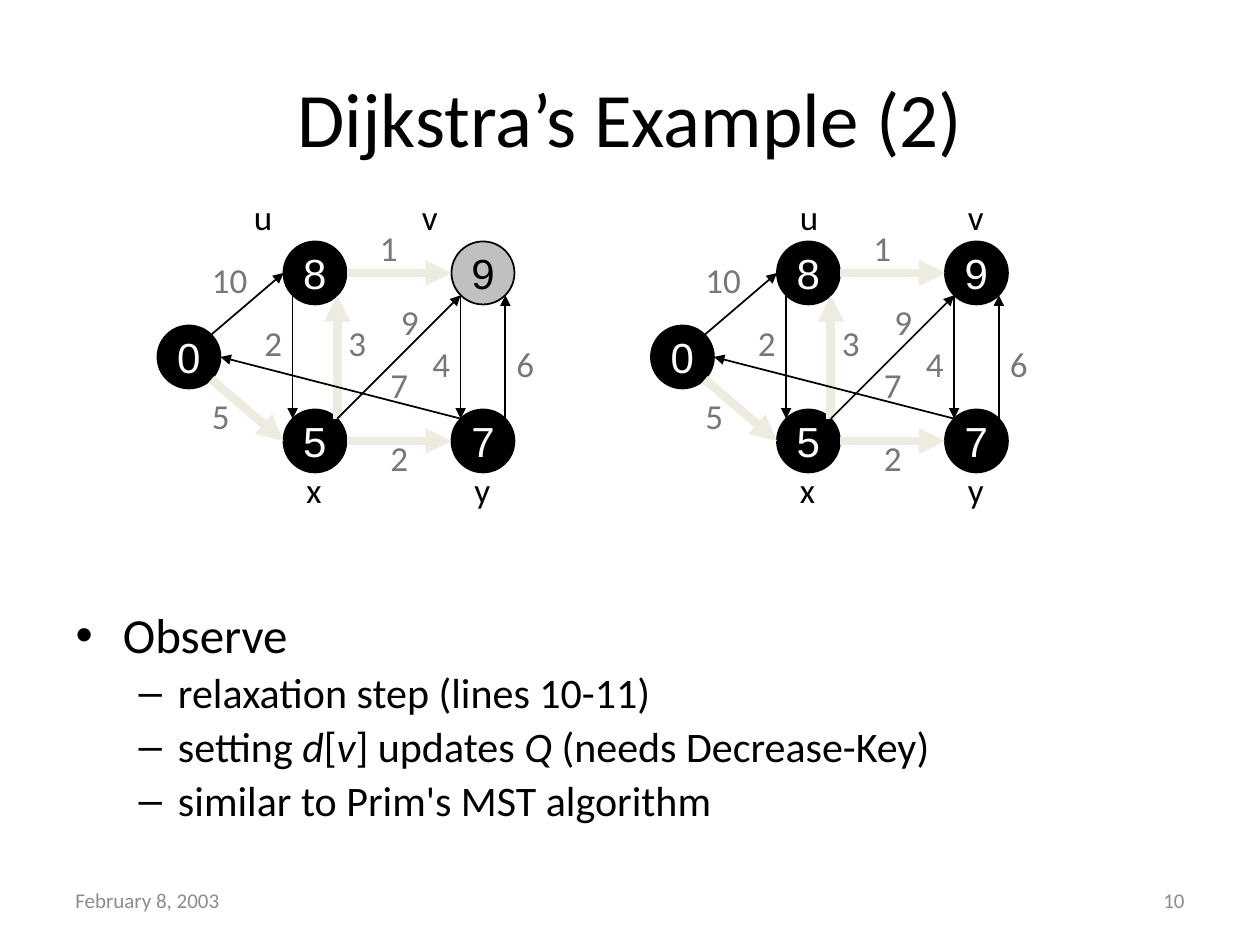
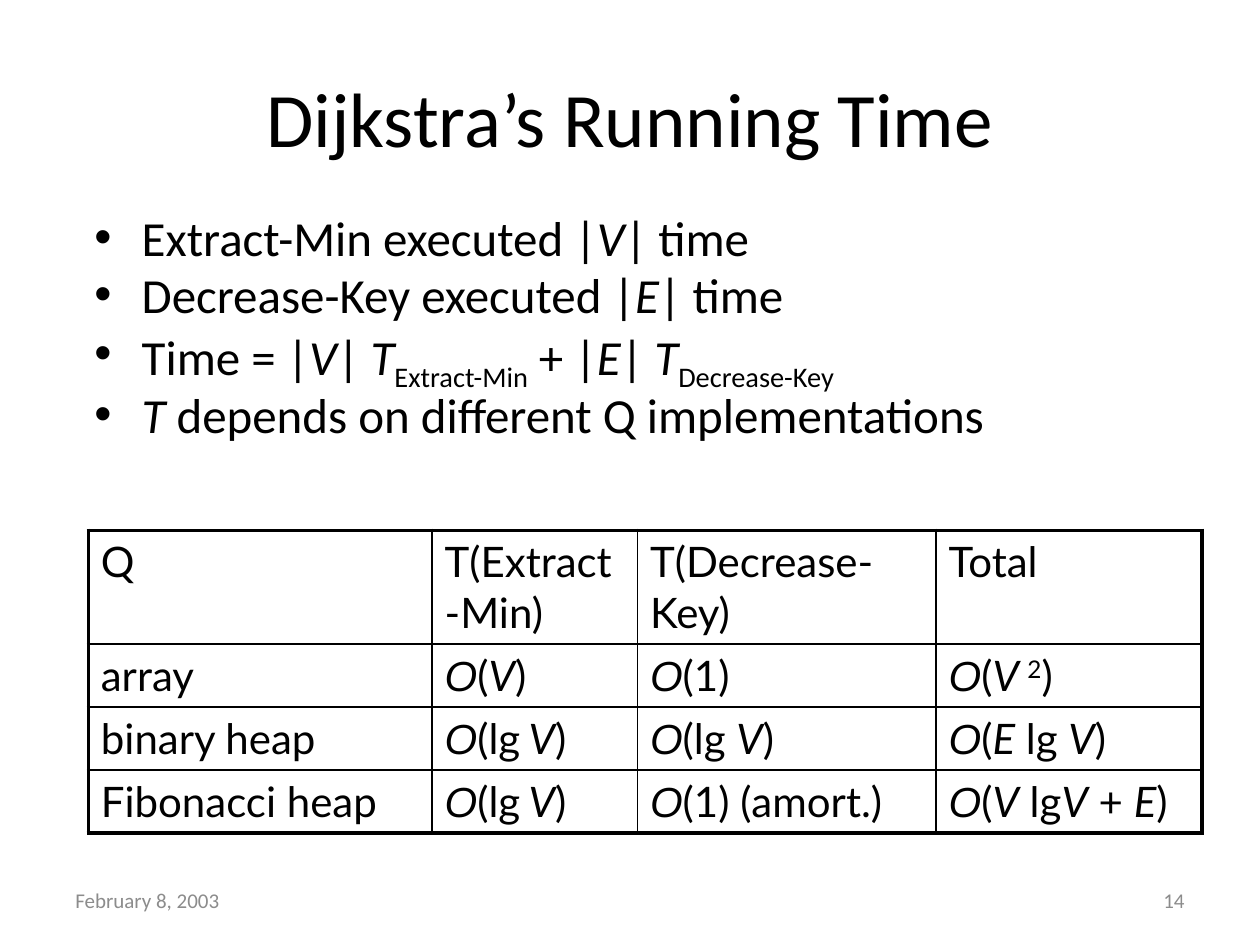
import pptx
import pptx.util
import pptx.dml.color
import pptx.enum.shapes
import pptx.enum.text
import pptx.oxml
import pptx.oxml.ns
import lxml.etree

Cm, Pt = pptx.util.Cm, pptx.util.Pt
ALIGN = pptx.enum.text.PP_ALIGN
ANCHOR = pptx.enum.text.MSO_ANCHOR

COLORS = {"ink": "000000", "paper": "FFFFFF", "open": "C0C0C0",
          "tree": "EEECE1", "weight": "777777", "footer": "8C8C8C"}
FONT, NODE_FONT, TABLE_FONT = "Calibri", "Arial", "Lato"
BASELINES = {"sub": "-25000", "sup": "30000"}

# Graph layout, counted in twelfths of an inch
UNIT = 2.54 / 12
NODE_SIZE = 6
GRAPH_SHIFT = 47
NODES = {"u": (27, 23, "8"), "v": (43, 23, "9"), "x": (27, 39, "5"),
         "y": (43, 39, "7"), "s": (15, 31, "0")}
NODE_NAMES = {"u": (28, 18), "v": (44, 18), "x": (28, 44), "y": (44, 44)}
WEIGHTS = [("10", 19, 24), ("5", 19, 37), ("1", 35, 21), ("2", 24, 30),
           ("3", 32, 30), ("9", 37, 28), ("4", 40, 32), ("6", 48, 32),
           ("7", 36, 34), ("2", 36, 41)]
DIAGONAL = 0.71
SIDES = {"E": (1, 0), "W": (-1, 0),
         "NE": (DIAGONAL, -DIAGONAL), "NW": (-DIAGONAL, -DIAGONAL),
         "SE": (DIAGONAL, DIAGONAL), "SW": (-DIAGONAL, DIAGONAL)}
# Tail node and side, head node and side, whether the edge is highlighted
EDGES = [("x", "NE", "u", "SE", True), ("u", "SW", "x", "NW", False),
         ("u", "E", "v", "W", True), ("x", "NE", "v", "SW", False),
         ("v", "SW", "y", "NW", False), ("y", "NE", "v", "SE", False),
         ("x", "E", "y", "W", True), ("y", "NW", "s", "E", False),
         ("s", "SE", "x", "W", True), ("s", "NE", "u", "W", False)]


def italic(text):
    return text, "italic"


# Bullets: level and runs
OBSERVATIONS = [
    (0, ["Observe"]),
    (1, ["relaxation step (lines 10-11)"]),
    (1, ["setting ", italic("d"), "[", italic("v"), "] updates ", italic("Q"),
         " (needs Decrease-Key)"]),
    (1, ["similar to Prim's MST algorithm"]),
]
COSTS = [
    (0, ["Extract-Min executed |", italic("V"), "| time"]),
    (0, ["Decrease-Key executed |", italic("E"), "| time"]),
    (0, ["Time = |", italic("V"), "| ", italic("T"), ("Extract-Min", "sub"),
         " + |", italic("E"), "| ", italic("T"), ("Decrease-Key", "sub")]),
    (0, [italic("T"), " depends on different Q implementations"]),
]
BIG_O = ("Ο", "order")
LG_V = [BIG_O, "(lg", italic(" V"), ")"]
QUEUE_ROWS = [
    [["Q"], ["T(Extract-Min)"], ["T(Decrease-Key)"], ["Total"]],
    [["array"], [BIG_O, "(", italic("V"), ")"], [BIG_O, "(1)"],
     [BIG_O, "(", italic("V "), ("2", "sup"), ")"]],
    [["binary heap"], LG_V, [BIG_O, "(lg ", italic("V"), ")"],
     [BIG_O, "(", italic("E"), " lg ", italic("V"), ")"]],
    [["Fibonacci heap"], LG_V, [BIG_O, "(1) (amort.)"],
     [BIG_O, "(", italic("V"), " lg", italic("V"), " + ", italic("E"), ")"]],
]
COLUMN_WIDTHS = [6.93, 4.14, 6.02, 5.36]
ROW_HEIGHTS = [2.29, 1.27, 1.27, 1.27]


def rgb(name):
    return pptx.dml.color.RGBColor.from_string(COLORS[name])


def units(count):
    return Cm(count * UNIT)


def add_runs(paragraph, runs, size, color="ink", font=FONT):
    for item in runs:
        text, kind = item if isinstance(item, tuple) else (item, "plain")
        run = paragraph.add_run()
        run.text = text
        run.font.size = Pt(size)
        run.font.name = NODE_FONT if kind == "order" else font
        run.font.color.rgb = rgb(color)
        run.font.italic = kind in ("italic", "order")
        if kind in BASELINES:
            run.font._element.set("baseline", BASELINES[kind])


def place(shape, left, top, width, height):
    shape.left, shape.top = Cm(left), Cm(top)
    shape.width, shape.height = Cm(width), Cm(height)


def add_label(slide, text, box, size, color="ink", align=ALIGN.LEFT,
              anchor=ANCHOR.TOP):
    frame = slide.shapes.add_textbox(*box).text_frame
    frame.word_wrap = True
    frame.vertical_anchor = anchor
    paragraph = frame.paragraphs[0]
    paragraph.alignment = align
    add_runs(paragraph, [text], size, color)


def add_slide(deck, heading, number):
    """Slide with the shared title style, date and page number."""
    slide = deck.slides.add_slide(deck.slide_layouts[1])
    title = slide.shapes.title
    place(title, 1.27, 0.76, 22.86, 3.18)
    title.text_frame.vertical_anchor = ANCHOR.MIDDLE
    paragraph = title.text_frame.paragraphs[0]
    paragraph.alignment = ALIGN.CENTER
    add_runs(paragraph, [heading], 44)
    for text, left, align in (("February 8, 2003", 1.27, ALIGN.LEFT),
                              (number, 18.2, ALIGN.RIGHT)):
        add_label(slide, text, (Cm(left), Cm(17.65), Cm(5.93), Cm(1.01)),
                  12, "footer", align, ANCHOR.MIDDLE)
    return slide


def fill_bullets(slide, bullets, box, line_spacing):
    body = slide.placeholders[1]
    place(body, *box)
    frame = body.text_frame
    frame.auto_size = pptx.enum.text.MSO_AUTO_SIZE.NONE
    for index, (level, runs) in enumerate(bullets):
        paragraph = frame.add_paragraph() if index else frame.paragraphs[0]
        paragraph.level = level
        paragraph.line_spacing = line_spacing
        add_runs(paragraph, runs, 24 if level else 28)


def add_node(slide, left, top, distance, is_open):
    node = slide.shapes.add_shape(
        pptx.enum.shapes.MSO_SHAPE.OVAL, units(left), units(top),
        units(NODE_SIZE), units(NODE_SIZE))
    node.shadow.inherit = False
    node.fill.solid()
    node.fill.fore_color.rgb = rgb("open" if is_open else "ink")
    node.line.color.rgb = rgb("ink")
    node.line.width = Pt(1)
    frame = node.text_frame
    frame.word_wrap = False
    frame.vertical_anchor = ANCHOR.MIDDLE
    frame.paragraphs[0].alignment = ALIGN.CENTER
    add_runs(frame.paragraphs[0], [distance], 24,
             "ink" if is_open else "paper", NODE_FONT)


def node_side(name, side, shift):
    left, top, _ = NODES[name]
    radius = NODE_SIZE / 2
    across, down = SIDES[side]
    return (units(left + shift + radius * (1 + across)),
            units(top + radius * (1 + down)))


def add_edge(slide, start, end, highlighted):
    edge = slide.shapes.add_connector(
        pptx.enum.shapes.MSO_CONNECTOR.STRAIGHT, *start, *end)
    edge.line.color.rgb = rgb("tree" if highlighted else "ink")
    edge.line.width = Pt(5 if highlighted else 1)
    qn = pptx.oxml.ns.qn
    lxml.etree.SubElement(edge.line._get_or_add_ln(), qn("a:tailEnd"),
                          type="triangle")
    lxml.etree.SubElement(edge._element.spPr, qn("a:effectLst"))


def add_graph(slide, shift=0, open_nodes="", upper_name_shift=0):
    for name, (left, top, distance) in NODES.items():
        add_node(slide, left + shift, top, distance, name in open_nodes)
    for tail, tail_side, head, head_side, highlighted in EDGES:
        add_edge(slide, node_side(tail, tail_side, shift),
                 node_side(head, head_side, shift), highlighted)
    for name, (left, top) in NODE_NAMES.items():
        nudge = upper_name_shift if name in "uv" else 0
        add_label(slide, name, (units(left + shift + nudge), units(top),
                                units(4), Cm(1.09)), 20)
    for weight, left, top in WEIGHTS:
        width = 6 if len(weight) > 1 else 4
        add_label(slide, weight, (units(left + shift), units(top),
                                  units(width), Cm(1.09)), 20, "weight")


def set_borders(cell, outer_sides):
    """Thin rules inside, thicker ones on the table's rim."""
    properties = cell._tc.get_or_add_tcPr()
    for index, side in enumerate("LRTB"):
        width = Pt(2.25 if side in outer_sides else 1)
        properties.insert(index, pptx.oxml.parse_xml(
            f'<a:ln{side} {pptx.oxml.ns.nsdecls("a")} w="{width}"><a:solidFill>'
            f'<a:srgbClr val="{COLORS["ink"]}"/></a:solidFill></a:ln{side}>'))


def add_queue_table(slide):
    last_row, last_column = len(ROW_HEIGHTS) - 1, len(COLUMN_WIDTHS) - 1
    table = slide.shapes.add_table(
        len(ROW_HEIGHTS), len(COLUMN_WIDTHS), Cm(1.78), Cm(10.69),
        Cm(sum(COLUMN_WIDTHS)), Cm(sum(ROW_HEIGHTS))).table
    table.first_row = table.horz_banding = False
    for column, width in zip(table.columns, COLUMN_WIDTHS):
        column.width = Cm(width)
    for row, height in zip(table.rows, ROW_HEIGHTS):
        row.height = Cm(height)
    for r, queue in enumerate(QUEUE_ROWS):
        for c, runs in enumerate(queue):
            cell = table.cell(r, c)
            cell.fill.background()
            add_runs(cell.text_frame.paragraphs[0], runs, 24, font=TABLE_FONT)
            rim = {"L": c == 0, "R": c == last_column,
                   "T": r == 0, "B": r == last_row}
            set_borders(cell, [side for side in rim if rim[side]])


def main():
    deck = pptx.Presentation()
    deck.slide_width, deck.slide_height = Cm(25.4), Cm(19.05)

    # Worked example: the last two steps side by side
    example = add_slide(deck, "Dijkstra’s Example (2)", "10")
    fill_bullets(example, OBSERVATIONS, (1.27, 12.19, 22.86, 4.83), 0.9)
    add_graph(example, open_nodes="v", upper_name_shift=-5)
    add_graph(example, shift=GRAPH_SHIFT)

    # Running time by queue implementation
    running_time = add_slide(deck, "Dijkstra’s Running Time", "14")
    fill_bullets(running_time, COSTS, (1.65, 4.29, 23.22, 4.85), 0.8)
    add_queue_table(running_time)

    deck.save("out.pptx")


if __name__ == "__main__":
    main()
